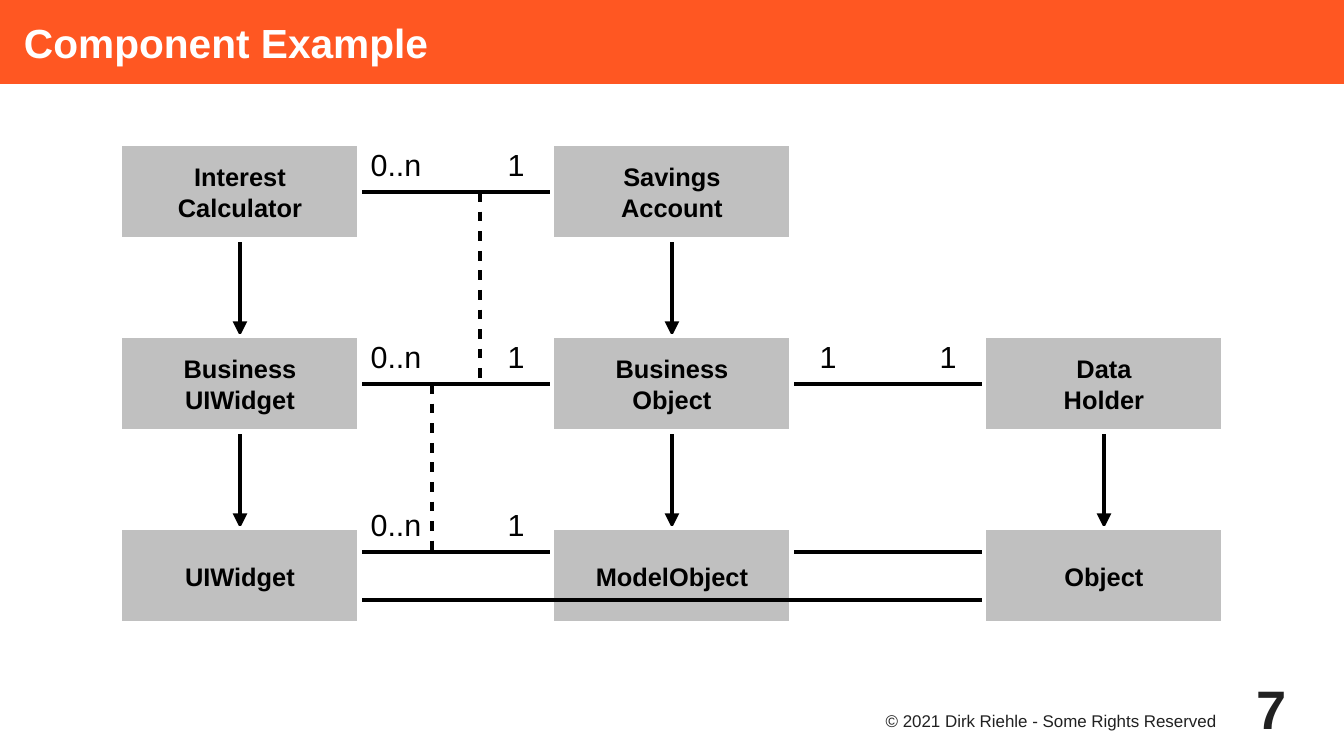
from lxml import etree
from pptx import Presentation
from pptx.dml.color import RGBColor
from pptx.enum.shapes import MSO_CONNECTOR, MSO_SHAPE
from pptx.enum.text import MSO_ANCHOR, MSO_AUTO_SIZE, PP_ALIGN
from pptx.oxml.ns import qn
from pptx.util import Pt

PX = 7500  # EMU
SLIDE_W, SLIDE_H = 1344, 756

ORANGE = RGBColor(0xFF, 0x57, 0x22)
WHITE = RGBColor(0xFF, 0xFF, 0xFF)
BLACK = RGBColor(0x00, 0x00, 0x00)
GRAY = RGBColor(0xC0, 0xC0, 0xC0)
DARK = RGBColor(0x21, 0x21, 0x21)
STROKE = Pt(2.89)

CLASS_W, CLASS_H = 240, 96
COLUMN_STEP, ROW_STEP = 432, 192
LABEL_W, LABEL_H, LABEL_STEP = 72, 57, 120
OVERLAP = 48  # how far a line runs on behind a class

# (column, row): name; the middle column lies behind the long association
MIDDLE_CLASSES = {
    (1, 0): "Savings\nAccount",
    (1, 1): "Business\nObject",
    (1, 2): "ModelObject",
}
OUTER_CLASSES = {
    (0, 0): "Interest\nCalculator",
    (0, 1): "Business\nUIWidget",
    (2, 1): "Data\nHolder",
    (0, 2): "UIWidget",
    (2, 2): "Object",
}
# (column, row) of the class above each arrow
INHERITANCES = [(0, 0), (1, 0), (0, 1), (1, 1), (2, 1)]
# left column, y within the diagram, labels at both ends
ASSOCIATIONS = [
    (0, 48, ("0..n", "1")),
    (0, 240, ("0..n", "1")),
    (1, 240, ("1", "1")),
    (0, 408, ("0..n", "1")),
    (1, 408, ()),
]
# x, top and bottom within the diagram
DEPENDENCIES = [(360, 48, 240), (312, 240, 408)]


def emu(*lengths):
    return [length * PX for length in lengths]


def write(shape, text, size, color, bold=False, align=PP_ALIGN.CENTER,
          anchor=MSO_ANCHOR.MIDDLE, insets=(10, 10, 10, 10), wrap=False):
    frame = shape.text_frame
    frame.text = text
    frame.word_wrap = wrap
    frame.auto_size = MSO_AUTO_SIZE.NONE
    frame.vertical_anchor = anchor
    (frame.margin_left, frame.margin_top,
     frame.margin_right, frame.margin_bottom) = emu(*insets)
    for paragraph in frame.paragraphs:
        paragraph.alignment = align
        font = paragraph.font
        font.name, font.size, font.bold = "Arial", Pt(size), bold
        font.color.rgb = color


def add_line(shapes, start, end, arrow=False, dashed=False):
    connector = shapes.add_connector(MSO_CONNECTOR.STRAIGHT, *emu(*start, *end))
    connector.line.color.rgb = BLACK
    connector.line.width = STROKE
    properties = connector._element.spPr
    outline = properties.find(qn("a:ln"))
    if dashed:
        pattern = etree.SubElement(outline, qn("a:custDash"))
        etree.SubElement(pattern, qn("a:ds"), d="200000", sp="200000")
    if arrow:
        etree.SubElement(outline, qn("a:tailEnd"), type="triangle")
    etree.SubElement(properties, qn("a:effectLst"))


def add_class(shapes, left, top, name):
    box = shapes.add_shape(MSO_SHAPE.RECTANGLE, *emu(left, top, CLASS_W, CLASS_H))
    box.shadow.inherit = False
    box.fill.solid()
    box.fill.fore_color.rgb = GRAY
    box.line.color.rgb = WHITE
    box.line.width = STROKE
    write(box, name, 15, BLACK, bold=True)


def add_association(shapes, left, y, labels=(), columns=1):
    """Line from one class to another some columns on, with its end labels on top."""
    add_line(shapes, (left + CLASS_W - OVERLAP, y),
             (left + columns * COLUMN_STEP + OVERLAP, y))
    for index, text in enumerate(labels):
        label_left = left + CLASS_W + index * LABEL_STEP
        label = shapes.add_textbox(*emu(label_left, y - LABEL_H, LABEL_W, LABEL_H))
        write(label, text, 18, BLACK, anchor=MSO_ANCHOR.BOTTOM, insets=(10, 10, 10, 9))


def add_title(slide, left, top, width, height):
    title = slide.shapes.title
    title.left, title.top, title.width, title.height = emu(left, top, width, height)
    title.fill.solid()
    title.fill.fore_color.rgb = ORANGE
    write(title, "Component Example", 24, WHITE, bold=True,
          align=PP_ALIGN.LEFT, insets=(24, 0, 0, 0), wrap=True)


def add_diagram(slide, left, top):
    shapes = slide.shapes.add_group_shape().shapes

    def add_classes(classes):
        for (column, row), name in classes.items():
            add_class(shapes, left + column * COLUMN_STEP, top + row * ROW_STEP, name)

    for column, row in INHERITANCES:
        x = left + column * COLUMN_STEP + CLASS_W // 2
        y = top + row * ROW_STEP
        add_line(shapes, (x, y + CLASS_H), (x, y + ROW_STEP), arrow=True)
    for column, y, labels in ASSOCIATIONS:
        add_association(shapes, left + column * COLUMN_STEP, top + y, labels)
    for x, start, end in DEPENDENCIES:
        add_line(shapes, (left + x, top + start), (left + x, top + end), dashed=True)

    add_classes(MIDDLE_CLASSES)
    add_association(shapes, left, top + 456, columns=2)
    add_classes(OUTER_CLASSES)


def add_footer(slide, left, top, width, height):
    number_w = 96
    credit_h = 36
    credit = slide.shapes.add_textbox(
        *emu(left, top + height - credit_h, width - number_w, credit_h))
    write(credit, "© 2021 Dirk Riehle - Some Rights Reserved", 10, DARK,
          align=PP_ALIGN.RIGHT, anchor=MSO_ANCHOR.TOP, insets=(0, 3, 8, 0), wrap=True)
    number = slide.shapes.add_textbox(
        *emu(left + width - number_w, top, number_w, height))
    write(number, "7", 32, DARK, bold=True, insets=(0, 0, 0, 0), wrap=True)


def main():
    deck = Presentation()
    deck.slide_width, deck.slide_height = emu(SLIDE_W, SLIDE_H)
    slide = deck.slides.add_slide(deck.slide_layouts[5])
    add_title(slide, 0, 0, SLIDE_W, 84)
    add_diagram(slide, 120, 144)
    add_footer(slide, 864, 672, 456, 72)
    deck.save("out.pptx")


if __name__ == "__main__":
    main()
